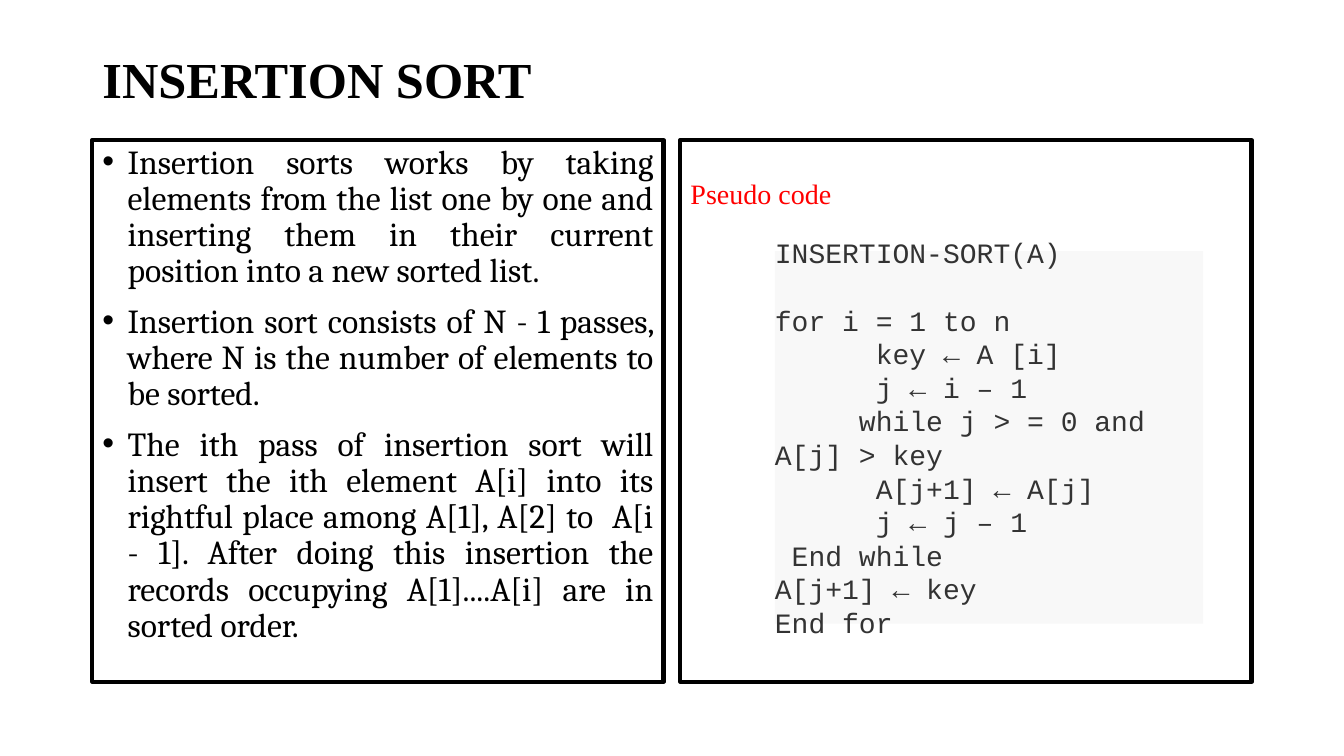
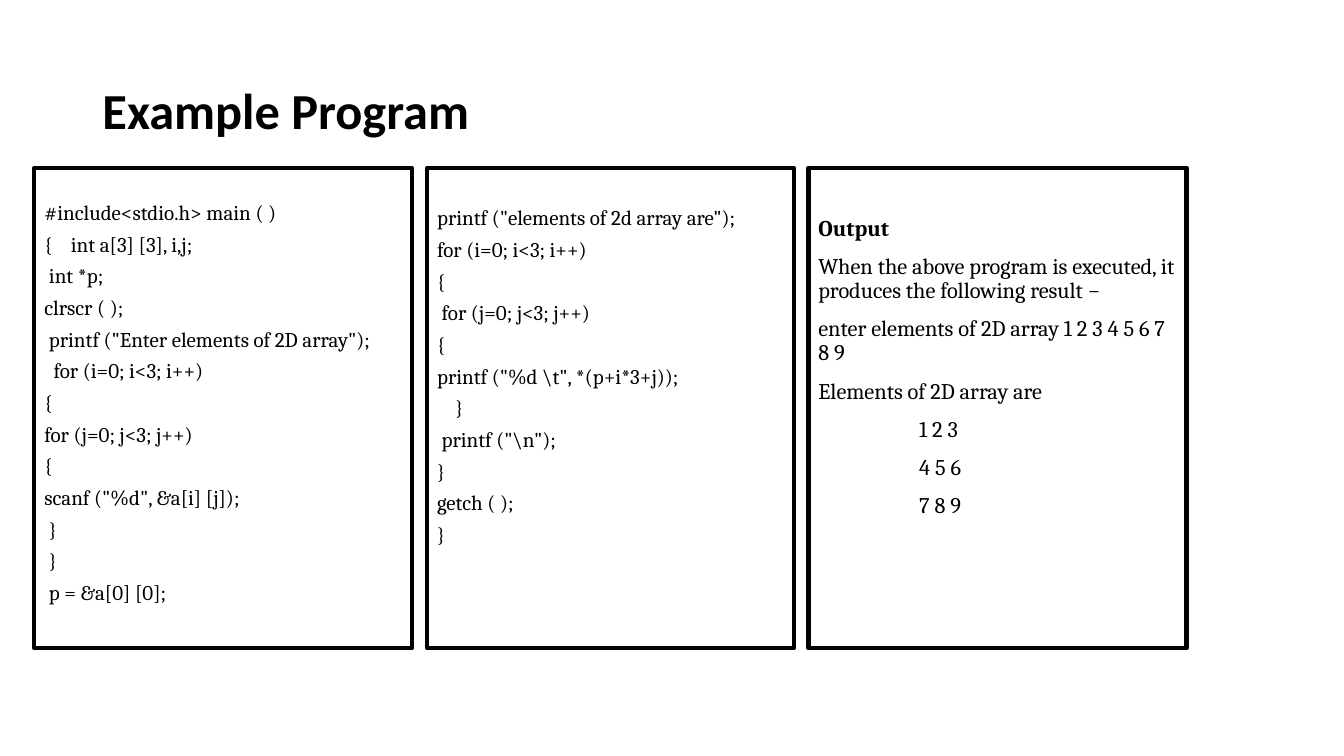
import pptx
import pptx.dml.color
import pptx.enum.text
import pptx.oxml.ns
import pptx.util
from lxml import etree

Pt = pptx.util.Pt
ALIGN = pptx.enum.text.PP_ALIGN
ANCHOR = pptx.enum.text.MSO_ANCHOR

BLACK, RED, CODE_GRAY, PANEL_GRAY = "000000", "FF0000", "333333", "F8F8F8"


def color(hex_text):
    return pptx.dml.color.RGBColor.from_string(hex_text)


def write_para(para, text, font="Cambria", size=24, ink=BLACK, bold=False,
               align=ALIGN.LEFT, spacing=0.9, before=0, indent=0, bullet=None):
    """Fill one paragraph; indent is the left margin, where a bullet hangs."""
    properties = para._p.get_or_add_pPr()
    properties.set("marL", str(Pt(indent)))
    properties.set("indent", str(Pt(-indent if bullet else 0)))
    if bullet:
        typeface = etree.SubElement(properties, pptx.oxml.ns.qn("a:buFont"))
        typeface.set("typeface", "Arial")
        mark = etree.SubElement(properties, pptx.oxml.ns.qn("a:buChar"))
        mark.set("char", bullet)
    else:
        etree.SubElement(properties, pptx.oxml.ns.qn("a:buNone"))
    para.alignment = align
    para.line_spacing = spacing
    para.space_before = Pt(before)
    para.space_after = Pt(0)
    span = para.add_run()
    span.text = text
    span.font.name = font
    span.font.size = Pt(size)
    span.font.bold = bold
    span.font.color.rgb = color(ink)


class SlideWriter:
    """Holds the deck, its shared style and the current page."""

    def __init__(self):
        self.deck = pptx.Presentation()
        self.deck.slide_width, self.deck.slide_height = Pt(960), Pt(540)
        self.layout = self.deck.slide_layouts.get_by_name("Two Content")
        self.page = None

    def place(self, box, left, top, width, height):
        box.left, box.top = Pt(left), Pt(top)
        box.width, box.height = Pt(width), Pt(height)

    def fill_text(self, box, lines, anchor=ANCHOR.TOP, side=7.2, inset=3.6,
                  bottom=3.6, before=0, **style):
        """Each line is a text, or a text with its own format changes."""
        frame = box.text_frame
        frame.word_wrap = True
        frame.auto_size = pptx.enum.text.MSO_AUTO_SIZE.NONE
        frame.vertical_anchor = anchor
        frame.margin_left = frame.margin_right = Pt(side)
        frame.margin_top, frame.margin_bottom = Pt(inset), Pt(bottom)
        for number, line in enumerate(lines):
            text, changes = (line, {}) if isinstance(line, str) else line
            para = frame.add_paragraph() if number else frame.paragraphs[0]
            gap = before if number else 0
            write_para(para, text, **{**style, "before": gap, **changes})

    def new_page(self, title, height, font):
        self.page = self.deck.slides.add_slide(self.layout)
        box = self.page.shapes.title
        self.place(box, 66, 29, 828, height)
        self.fill_text(box, [title], anchor=ANCHOR.MIDDLE, font=font, size=36, bold=True)

    def framed_box(self, slot, area, lines, **style):
        """Outlined text; slot is a body placeholder, or None for a text box."""
        if slot is None:
            box = self.page.shapes.add_textbox(*map(Pt, area))
        else:
            box = self.page.placeholders[slot]
            self.place(box, *area)
        box.line.color.rgb = color(BLACK)
        box.line.width = Pt(3)
        self.fill_text(box, lines, **style)

    def code_panel(self, area, lines):
        box = self.page.shapes.add_textbox(*map(Pt, area))
        box.fill.solid()
        box.fill.fore_color.rgb = color(PANEL_GRAY)
        self.fill_text(box, lines, anchor=ANCHOR.MIDDLE, side=0, inset=0, bottom=0,
                       font="Courier New", size=20, ink=CODE_GRAY, spacing=Pt(24))


SORT_NOTES = [
    "Insertion sorts works by taking elements from the list one by one and "
    "inserting them in their current position into a new sorted list.",
    "Insertion sort consists of N - 1 passes, where N is the number of elements "
    "to be sorted.",
    "The ith pass of insertion sort will insert the ith element A[i] into its "
    "rightful place among A[1], A[2] to  A[i - 1]. After doing this insertion the "
    "records occupying A[1]....A[i] are in sorted order.",
]

PSEUDO_CODE = [
    "INSERTION-SORT(A)",
    ("for i = 1 to n", {"before": 24}),
    "      key ← A [i]",
    "      j ← i – 1",
    "     while j > = 0 and A[j] > key",
    "      A[j+1] ← A[j]",
    "      j ← j – 1",
    " End while",
    "A[j+1] ← key",
    "End for",
]

READ_CODE = [
    "#include<stdio.h> main ( )",
    "{    int a[3] [3], i,j;",
    " int *p;",
    "clrscr ( );",
    ' printf ("Enter elements of 2D array");',
    "  for (i=0; i<3; i++)",
    "{",
    "for (j=0; j<3; j++)",
    "{",
    'scanf ("%d", &a[i] [j]);',
    " }",
    " }",
    " p = &a[0] [0];",
]

PRINT_CODE = [
    'printf ("elements of 2d array are");',
    "for (i=0; i<3; i++)",
    "{",
    " for (j=0; j<3; j++)",
    "{",
    r'printf ("%d \t", *(p+i*3+j));',
    "    }",
    r' printf ("\n");',
    "}",
    "getch ( );",
    "}",
]

OUTPUT = [
    ("Output", {"bold": True}),
    "When the above program is executed, it produces the following result −",
    "enter elements of 2D array 1 2 3 4 5 6 7 8 9",
    "Elements of 2D array are",
] + [(row, {"indent": 72}) for row in ("1 2 3", "4 5 6", "7 8 9")]


def main():
    writer = SlideWriter()

    # Insertion sort: notes beside pseudo code
    writer.new_page("INSERTION SORT", 60, "Times New Roman")
    writer.framed_box(1, (66, 100, 408, 387), SORT_NOTES, before=10,
                      align=ALIGN.JUSTIFY, indent=18, bullet="•")
    writer.framed_box(2, (486, 100, 408, 387), ["Pseudo code"], inset=29,
                      font="Times New Roman", size=20, ink=RED)
    writer.code_panel((553.5, 179.5, 306, 266), PSEUDO_CODE)

    # Example program: two code columns and the output
    writer.new_page("Example Program", 104, "Calibri")
    code_style = {"size": 15, "spacing": 0.7, "align": ALIGN.JUSTIFY}
    columns = [
        (1, 270, READ_CODE, {"inset": 27.3, **code_style}),
        (2, 262, PRINT_CODE, {"inset": 31.2, **code_style}),
        (None, 270, OUTPUT, {"inset": 35, "size": 16}),
    ]
    left = 24.5
    for slot, width, lines, style in columns:
        writer.framed_box(slot, (left, 120, width, 343), lines, before=10, **style)
        left += width + 10.5

    writer.deck.save("out.pptx")


if __name__ == "__main__":
    main()
